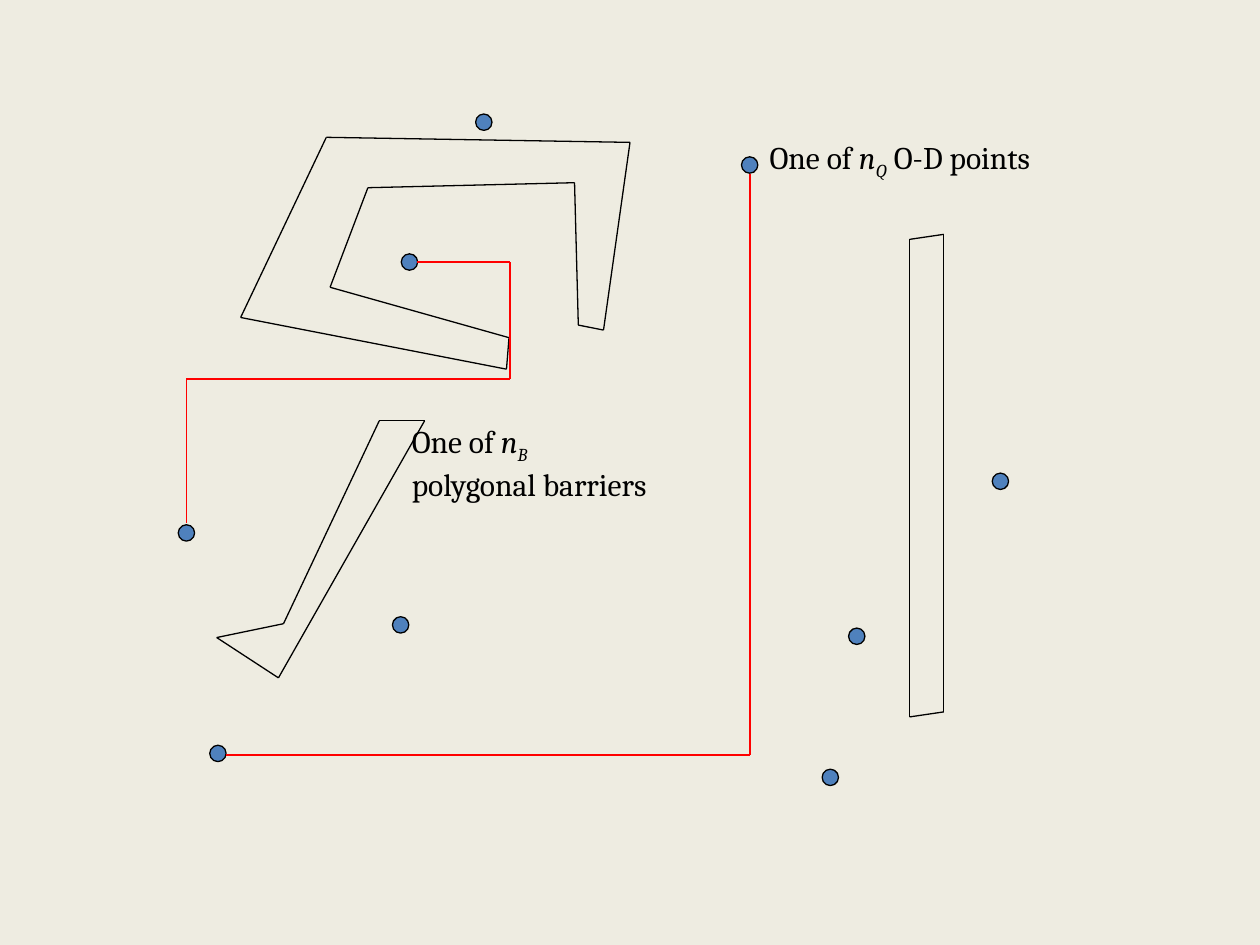
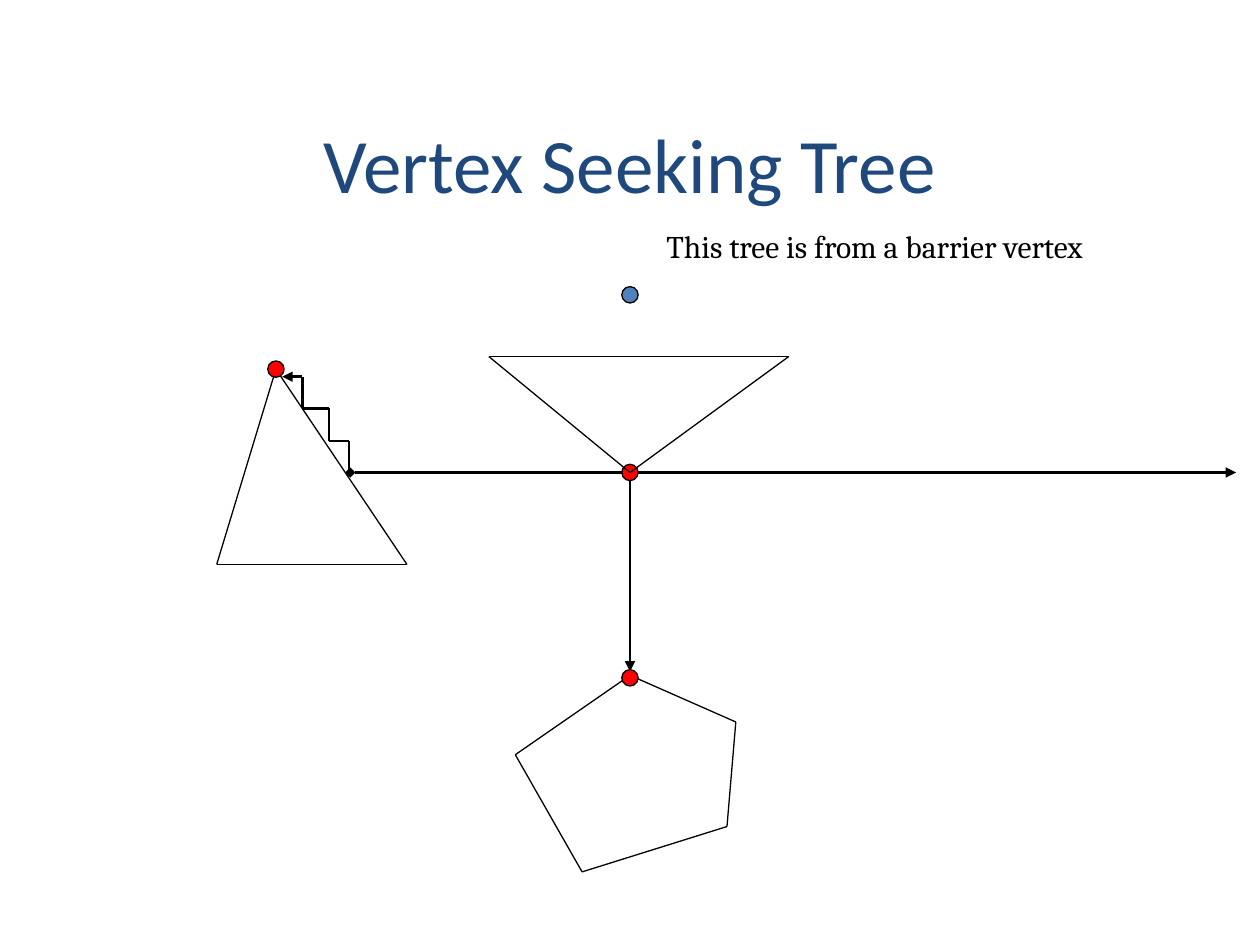
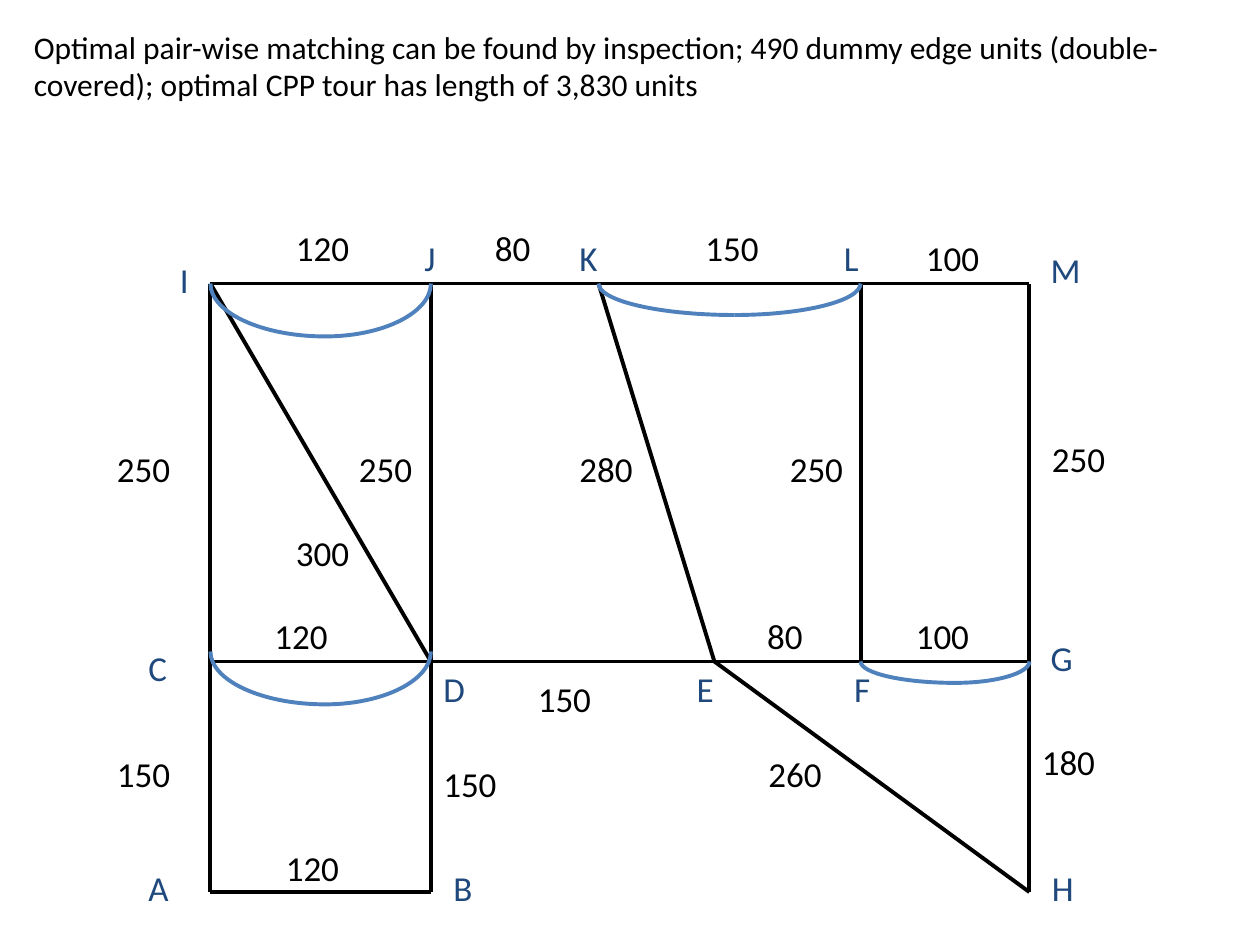
from dataclasses import dataclass
from itertools import pairwise

from lxml import etree
from pptx import Presentation
from pptx.dml.color import RGBColor
from pptx.enum.shapes import MSO_CONNECTOR, MSO_SHAPE
from pptx.enum.text import MSO_ANCHOR, MSO_AUTO_SIZE, PP_ALIGN
from pptx.oxml.ns import qn
from pptx.util import Cm, Pt

LINE, OVAL = MSO_CONNECTOR.STRAIGHT, MSO_SHAPE.OVAL
MIDDLE, CENTER = MSO_ANCHOR.MIDDLE, PP_ALIGN.CENTER
GROW = MSO_AUTO_SIZE.SHAPE_TO_FIT_TEXT
TITLE_ONLY, BLANK = 5, 6
INCH = 2.54
BEND = 0.55


@dataclass(frozen=True)
class Theme:
    black: str = "000000"
    white: str = "FFFFFF"
    sand: str = "EEECE1"
    navy: str = "1F497D"
    blue: str = "4F81BD"
    red: str = "FF0000"
    sans: str = "Calibri"
    serif: str = "Cambria"
    head: int = 44
    label: int = 20
    body: int = 18
    thin: float = 0.75
    route: float = 1
    ray: float = 1.5
    edge: float = 2.25
    dot: float = 0.13


T = Theme()

BARRIERS = [
    [(3.01, 3.34), (2.25, 4.95), (1.72, 5.06), (2.21, 5.38), (3.37, 3.34)],
    [(4.02, 2.93), (1.91, 2.52), (2.59, 1.09), (5, 1.13), (4.79, 2.62),
     (4.59, 2.58), (4.56, 1.45), (2.92, 1.49), (2.62, 2.28), (4.04, 2.68)],
    [(7.22, 1.9), (7.49, 1.86), (7.49, 5.65), (7.22, 5.69)],
]
POINTS = [(1.48, 4.23), (6.59, 6.17), (6.8, 5.05), (3.84, 0.97), (1.73, 5.98),
          (3.18, 4.96), (5.95, 1.31), (3.25, 2.08), (7.94, 3.82)]
ROUTES = [
    [(1.79, 5.99), (5.95, 5.99), (5.95, 1.38)],
    [(1.48, 4.15), (1.48, 3.01), (4.05, 3.01), (4.05, 2.08), (3.31, 2.08)],
]
NOTES = [
    ((6.01, 1.05, 3.1, 0.5), [[("One of ", ""), ("n", "i"), ("Q", "sub"), (" O-D points", "")]]),
    ((3.17, 3.3, 2.63, 0.9), [[("One of ", ""), ("n", "i"), ("B", "sub")],
                              [("polygonal barriers", "")]]),
]

HEAD = "Vertex Seeking Tree"
SOURCE = "This tree is from a barrier vertex"
ROOT = (5, 3.75)
RAYS = [(ROOT, (5, 5.33)), ((2.78, 3.75), (9.81, 3.75))]
STAIRS = [(2.77, 3.75), (2.77, 3.5), (2.61, 3.5), (2.61, 3.24), (2.4, 3.24), (2.4, 2.99), (2.24, 2.99)]
PENTAGON = [(5, 5.36), (4.09, 5.99), (4.62, 6.92), (5.77, 6.56), (5.84, 5.73)]
LEFT_TRI = [(2.19, 2.93), (3.23, 4.48), (1.72, 4.48)]
TOP_TRI = [ROOT, (3.88, 2.83), (6.26, 2.83)]
TREE_DOTS = [((5, 2.34), T.blue), ((5, 5.38), T.red), ((2.19, 2.93), T.red), (ROOT, T.red)]

TOUR = ("Optimal pair-wise matching can be found by inspection; 490 dummy edge units "
        "(double-covered); optimal CPP tour has length of 3,830 units")
TOP, MID, LOW = 2.25, 5.25, 7.08
NODES = {
    "A": (1.67, LOW, 1.08, 6.83, 0.58), "B": (3.42, LOW, 3.5, 6.83, 0.4),
    "C": (1.67, MID, 1.08, 5.08, 0.4), "D": (3.42, MID, 3.42, 5.25, 0.4),
    "E": (5.67, MID, 5.43, 5.25, 0.39), "F": (6.83, MID, 6.68, 5.25, 0.37),
    "G": (8.17, MID, 8.24, 5, 0.42), "H": (8.17, LOW, 8.25, 6.83, 0.4),
    "I": (1.67, TOP, 1.33, 2, 0.28), "J": (3.42, TOP, 3.27, 1.83, 0.36),
    "K": (4.75, TOP, 4.5, 1.83, 0.4), "L": (6.83, TOP, 6.6, 1.83, 0.37),
    "M": (8.17, TOP, 8.24, 1.92, 0.43),
}
WRAPPED = "A"
EDGES = "IM IA CG MH JB KE LF EH AB ID".split()
COSTS = [
    ("250", 0.83, 3.5), ("120", 2.25, 1.75), ("80", 3.83, 1.75), ("150", 5.5, 1.75),
    ("100", 7.25, 1.83), ("250", 2.75, 3.5), ("250", 8.25, 3.42), ("250", 6.17, 3.5),
    ("280", 4.5, 3.5), ("120", 2.08, 4.83), ("150", 4.17, 5.33), ("80", 5.99, 4.83),
    ("100", 7.17, 4.83), ("150", 0.83, 5.92), ("120", 2.17, 6.67), ("150", 3.42, 6),
    ("260", 6, 5.92), ("180", 8.17, 5.83), ("300", 2.25, 4.17),
]
COST_WIDTH = {2: 0.51, 3: 0.66}
SAGS = [(1.67, 2.58, 3.42, TOP, 0.42), (1.67, 2.58, 3.42, 5.17, 0.42),
        (4.75, 5.83, 6.83, TOP, 0.25), (6.83, 7.58, 8.17, MID, 0.17)]


def size(*vals):
    return [Cm(INCH * val) for val in vals]


def paint(part, hue):
    part.solid()
    part.fore_color.rgb = RGBColor.from_string(hue)


def assign(item, **vals):
    for key, val in vals.items():
        setattr(item, key, val)


def stroke(shape, hue, width):
    paint(shape.line.fill, hue)
    shape.line.width = Pt(width)


def style(font, face, points, hue):
    assign(font, name=face, size=Pt(points))
    font.color.rgb = RGBColor.from_string(hue)


def new_slide(deck, layout, hue):
    slide = deck.slides.add_slide(deck.slide_layouts[layout])
    paint(slide.background.fill, hue)
    return slide


def link(slide, start, end, hue, width, head=None, tail=None):
    wire = slide.shapes.add_connector(LINE, *size(*start, *end))
    stroke(wire, hue, width)
    props = wire._element.spPr
    for tag, kind in (("a:headEnd", head), ("a:tailEnd", tail)):
        if kind:
            etree.SubElement(props.find(qn("a:ln")), qn(tag), type=kind)
    etree.SubElement(props, qn("a:effectLst"))


def chain(slide, spots, hue, width, closed=False):
    for start, end in pairwise(spots + spots[:closed]):
        link(slide, start, end, hue, width)


def dot(slide, spot, hue):
    x, y = spot
    disc = slide.shapes.add_shape(OVAL, *size(x - T.dot / 2, y - T.dot / 2, T.dot, T.dot))
    disc.shadow.inherit = False
    paint(disc.fill, hue)
    stroke(disc, T.black, T.thin)


def write(slide, box, rows, face, points, hue=T.black, wrap=False):
    frame = slide.shapes.add_textbox(*size(*box)).text_frame
    assign(frame, word_wrap=wrap, auto_size=GROW)
    for num, row in enumerate(rows):
        para = frame.add_paragraph() if num else frame.paragraphs[0]
        for text, kind in row:
            run = para.add_run()
            run.text = text
            style(run.font, face, points, hue)
            if kind:
                run.font.italic = True
            if kind == "sub":
                run._r.get_or_add_rPr().set("baseline", "-25000")


def sag(slide, mid, end, y, depth):
    pen = slide.shapes.build_freeform(*size(mid, y + depth), scale=1.0)
    pen.add_line_segments([size(end, y)], close=False)
    curve = pen.convert_to_shape()
    curve.shadow.inherit = False
    curve.fill.background()
    stroke(curve, T.blue, T.edge)
    step = next(curve._element.iter(qn("a:lnTo")))
    step.tag = qn("a:cubicBezTo")
    left = min(mid, end)
    bends = [(mid + BEND * (end - mid), depth), (end, BEND * depth)]
    for num, (x, drop) in enumerate(bends):
        across, down = size(x - left, drop)
        step.insert(num, etree.Element(qn("a:pt"), x=str(int(across)), y=str(int(down))))


def draw_map(deck):
    slide = new_slide(deck, BLANK, T.sand)
    for ring in BARRIERS:
        chain(slide, ring, T.black, T.thin, closed=True)
    for spot in POINTS:
        dot(slide, spot, T.blue)
    for box, rows in NOTES:
        write(slide, box, rows, T.serif, T.body)
    for route in ROUTES:
        chain(slide, route, T.red, T.route)


def draw_tree(deck):
    slide = new_slide(deck, TITLE_ONLY, T.white)
    title = slide.shapes.title
    left, top, width, height = size(0.75, 0.67, 8.5, 1.25)
    assign(title, left=left, top=top, width=width, height=height)
    frame = title.text_frame
    assign(frame, text=HEAD, vertical_anchor=MIDDLE)
    frame.paragraphs[0].alignment = CENTER
    style(frame.paragraphs[0].runs[0].font, T.sans, T.head, T.navy)
    for start, end in RAYS:
        link(slide, start, end, T.black, T.ray, "diamond", "triangle")
    for ring in (PENTAGON, LEFT_TRI):
        chain(slide, ring, T.black, T.thin, closed=True)
    chain(slide, STAIRS[:-1], T.black, T.ray)
    link(slide, *STAIRS[-2:], T.black, T.ray, tail="triangle")
    for spot, hue in TREE_DOTS:
        dot(slide, spot, hue)
    write(slide, (5.19, 1.75, 4.53, 0.5), [[(SOURCE, "")]], T.serif, T.body)
    chain(slide, TOP_TRI, T.black, T.thin, closed=True)


def draw_graph(deck):
    slide = new_slide(deck, BLANK, T.white)
    for start, end in EDGES:
        link(slide, NODES[start][:2], NODES[end][:2], T.black, T.edge)
    labels = [(text, x, y, COST_WIDTH[len(text)], T.black) for text, x, y in COSTS]
    labels += [(name, *node[2:], T.navy) for name, node in NODES.items()]
    for text, x, y, width, hue in labels:
        write(slide, (x, y, width, 0.43), [[(text, "")]], T.sans, T.label, hue, text in WRAPPED)
    for left, mid, right, y, depth in SAGS:
        for end in (left, right):
            sag(slide, mid, end, y, depth)
    write(slide, (0.17, 0.17, 9.42, 1.3), [[(TOUR, "")]], T.sans, T.body, wrap=True)


def main():
    deck = Presentation()
    width, height = size(10, 7.5)
    assign(deck, slide_width=width, slide_height=height)
    for draw in (draw_map, draw_tree, draw_graph):
        draw(deck)
    deck.save("out.pptx")


if __name__ == "__main__":
    main()
